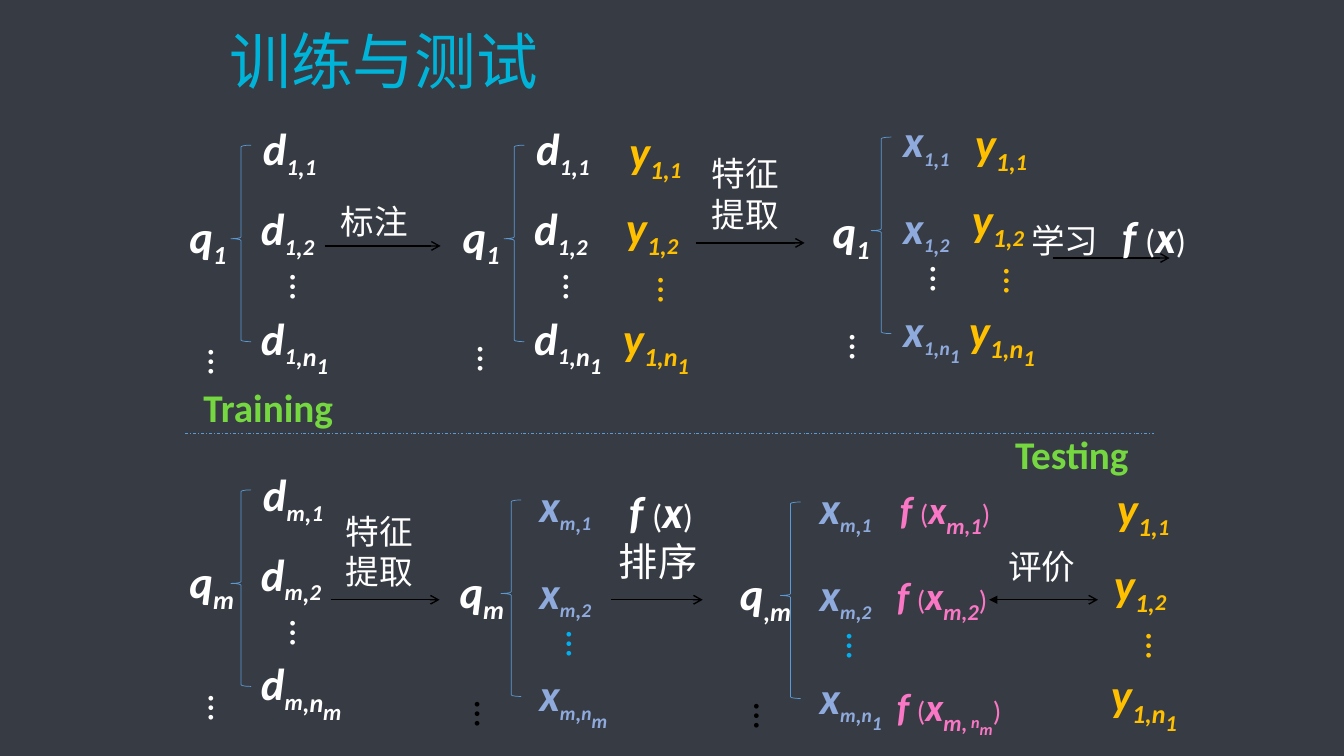
from lxml import etree
from pptx import Presentation
from pptx import util as u
from pptx.dml import color
from pptx.enum import dml, shapes, text
from pptx.oxml import ns

WHITE, BLACK, GOLD = "FFFFFF", "000000", "FFC000"
PERIWINKLE, SKY, PINK = "8FAADC", "00B0F0", "F977C4"
GREEN, BLUE, CYAN, SLATE = "75D840", "5B9BD5", "00B4D9", "373B44"

DOCUMENT_STEPS = [(0, 0), (-0.02, 0.79), (-0.02, 1.88), (0.14, 1.48)]
FEATURE_STEPS = [(0, 0), (0, 0.86), (0, 1.88), (0.14, 1.48)]
GRADE_STEPS = [(0, 0), (-0.03, 0.75), (-0.06, 1.85), (0.16, 1.47)]


def rgb(value):
    """Turn a hex string into a colour."""
    return color.RGBColor.from_string(value)


def add_child(parent, tag, **attributes):
    """Append a DrawingML element to a parent element."""
    return etree.SubElement(parent, ns.qn(tag), **attributes)


def span(words, size, base=0, strong=True):
    """Describe one run: words, point size, baseline percent and bold italic."""
    return words, size, base, strong


def add_box(page, left, top, width, height, lines, hue):
    """Add a text box whose lines are lists of spans."""
    box = page.shapes.add_textbox(*map(u.Inches, (left, top, width, height)))
    frame = box.text_frame
    frame.word_wrap = True
    frame.auto_size = text.MSO_AUTO_SIZE.SHAPE_TO_FIT_TEXT
    for index, spans in enumerate(lines):
        para = frame.add_paragraph() if index else frame.paragraphs[0]
        for words, size, base, strong in spans:
            run = para.add_run()
            run.text = words
            run.font.name = "Calibri"
            run.font.size = u.Pt(size)
            run.font.bold = run.font.italic = strong
            run.font.color.rgb = rgb(hue)
            if base:
                run.font._element.set("baseline", str(base * 1000))
    return box


def add_caption(page, left, top, width, height, *lines):
    """Add a plain white step caption."""
    spans = [[span(words, 24, strong=False)] for words in lines]
    return add_box(page, left, top, width, height, spans, WHITE)


def add_heading(page, left, top, words):
    """Add a green bold phase name."""
    box = add_box(page, left, top, 1.84, 0.57, [[span(words, 28)]], GREEN)
    box.text_frame.paragraphs[0].runs[0].font.italic = False


def add_dots(page, left, top, hue):
    """Add a vertical ellipsis."""
    box = add_box(page, left, top, 0.67, 0.57, [[span("…", 28)]], hue)
    box.text_frame.paragraphs[0].runs[0].font.bold = False
    box.text_frame._txBody.bodyPr.set("vert", "eaVert")


def add_line(page, start, end, hue, width, head=None, tail=None):
    """Add a straight line with optional arrowheads."""
    line = page.shapes.add_connector(
        shapes.MSO_CONNECTOR.STRAIGHT, *map(u.Inches, start + end))
    line.line.color.rgb = rgb(hue)
    line.line.width = u.Pt(width)
    outline = line.line._get_or_add_ln()
    for tag, kind in (("a:headEnd", head), ("a:tailEnd", tail)):
        if kind:
            add_child(outline, tag, type=kind)
    add_child(line._element.spPr, "a:effectLst")
    return line


def add_arrow(page, left, right, top, head=None):
    """Add a black horizontal arrow."""
    add_line(page, (left, top), (right, top), BLACK, 1, head, "arrow")


def add_query(page, brace, query, dots, subscript, dots_hue):
    """Add a query name, its brace and the ellipsis below."""
    shape = page.shapes.add_shape(
        shapes.MSO_SHAPE.LEFT_BRACE, *map(u.Inches, brace + (0.2, 1.95)))
    shape.shadow.inherit = False
    shape.fill.background()
    shape.line.color.rgb = rgb(BLUE)
    shape.line.width = u.Pt(0.5)
    shape.adjustments[0], shape.adjustments[1] = 0.083, 0.476
    spans = [span("q", 32), span(subscript, 32, -25)]
    add_box(page, *query, 0.8, 0.64, [spans], WHITE)
    add_dots(page, *dots, dots_hue)


def add_column(page, left, top, steps, rows, hue, dots_hue):
    """Add three subscripted symbols and an ellipsis before the last."""
    places = [(left + across, top + down) for across, down in steps]
    for place, spans in zip(places, rows):
        add_box(page, *place, 1.32, 0.64, [spans], hue)
    add_dots(page, *places[-1], dots_hue)


def indexed(letter, subscript, last, small, comma):
    """Build the first, second and last symbol of a document or feature list."""
    stem = [span(letter, 32), span(subscript, small, -25)]
    rows = [stem + [span(",", comma, -25), span(digit, small, -25)] for digit in "12"]
    return rows + [stem + [span(",", comma, -25),
                           span("n", comma if letter == "d" else small, -25),
                           span(last, small, -50)]]


def add_documents(page, left, top, subscript, last):
    """Add a column of documents d."""
    rows = indexed("d", subscript, last, 28, 32)
    add_column(page, left, top, DOCUMENT_STEPS, rows, WHITE, WHITE)


def add_features(page, left, top, subscript, last, dots_hue):
    """Add a column of feature vectors x."""
    rows = indexed("x", subscript, last, 24, 28)
    add_column(page, left, top, FEATURE_STEPS, rows, PERIWINKLE, dots_hue)


def add_grades(page, left, top):
    """Add a column of labels y."""
    rows = [[span("y", 32), span("1,", 32, -25), span(digit, 28, -25)] for digit in "12"]
    rows.append([span("y", 32), span("1,n", 32, -25), span("1", 28, -50)])
    add_column(page, left, top, GRADE_STEPS, rows, GOLD, GOLD)


def function_of(size, gap, bracket, subscript=(), close=None, lead=""):
    """Build the spans of f (x) with an optional subscript."""
    return [span(lead + "f", size), span(" ", gap), span("(", bracket, strong=False),
            span("x", size), *subscript, span(")", close or bracket, strong=False)]


def add_scores(page):
    """Add the predicted scores of the test documents."""
    subscripts = [[span("m,1", 28, -25)], [span("m,2", 28, -25)],
                  [span("m,", 28, -25), span(" n", 20, -25), span("m", 20, -50)]]
    places = [(8.74, 4.77), (8.71, 5.62), (8.71, 6.72)]
    for place, subscript in zip(places, subscripts):
        spans = function_of(28, 24, 20, subscript, lead=" ")
        add_box(page, *place, 1.33, 0.57, [spans], PINK)


def add_title(page):
    """Add the slide title."""
    box = add_box(page, 2.18, 0.13, 9, 1.02, [[span("训练与测试", 44, strong=False)]], CYAN)
    box.text_frame.auto_size = text.MSO_AUTO_SIZE.NONE
    box.text_frame.vertical_anchor = text.MSO_ANCHOR.MIDDLE
    box.text_frame.paragraphs[0].line_spacing = 0.9


def add_training(page):
    """Add the training flow above the divider."""
    add_query(page, (2.29, 1.44), (1.78, 2.02), (1.84, 3.37), "1", WHITE)
    add_documents(page, 2.51, 1.15, "1", "1")
    add_arrow(page, 3.22, 4.37, 2.44)
    add_caption(page, 3.28, 1.94, 2.05, 0.5, "标注")
    add_query(page, (5, 1.44), (4.49, 2.02), (4.51, 3.34), "1", WHITE)
    add_documents(page, 5.22, 1.15, "1", "1")
    add_grades(page, 6.14, 1.18)
    add_arrow(page, 6.9, 7.98, 2.41)
    add_caption(page, 6.96, 1.47, 1.36, 0.91, "特征", "提取")
    add_query(page, (8.64, 1.36), (8.16, 1.97), (8.2, 3.22), "1", WHITE)
    add_features(page, 8.86, 1.07, "1", "1", WHITE)
    add_grades(page, 9.57, 1.1)
    add_arrow(page, 10.44, 11.6, 2.56)
    learning = [span("学习\t", 24, strong=False)] + function_of(32, 28, 24)
    box = add_box(page, 10.13, 2.02, 2.05, 0.64, [learning], WHITE)
    tabs = add_child(box.text_frame.paragraphs[0]._p.get_or_add_pPr(), "a:tabLst")
    add_child(tabs, "a:tab", pos=str(u.Inches(0.9)), algn="l")


def add_testing(page):
    """Add the testing flow below the divider."""
    add_query(page, (2.29, 4.86), (1.78, 5.44), (1.84, 6.8), "m", WHITE)
    add_documents(page, 2.51, 4.58, "m", "m")
    add_arrow(page, 3.28, 4.36, 5.95)
    add_caption(page, 3.33, 5.02, 1.36, 0.91, "特征", "提取")
    add_query(page, (4.97, 4.96), (4.46, 5.54), (4.48, 6.86), "m", BLACK)
    add_features(page, 5.25, 4.69, "m", "m", SKY)
    add_arrow(page, 6.06, 6.97, 5.95)
    ranking = [function_of(32, 28, 24, lead=" "), [span("排序", 28, strong=False)]]
    add_box(page, 6.04, 4.75, 1.4, 1.11, ranking, WHITE)
    add_query(page, (7.74, 4.98), (7.24, 5.56), (7.25, 6.88), ",m", BLACK)
    add_features(page, 8.03, 4.71, "m", "1", SKY)
    add_scores(page)
    add_arrow(page, 9.81, 10.89, 5.95, head="triangle")
    add_caption(page, 9.9, 5.37, 1.36, 0.5, "评价")
    add_grades(page, 10.98, 4.72)


def main():
    """Build and save the slide."""
    deck = Presentation()
    deck.slide_width, deck.slide_height = u.Inches(13.33), u.Inches(7.5)
    page = deck.slides.add_slide(deck.slide_layouts[6])
    page.background.fill.solid()
    page.background.fill.fore_color.rgb = rgb(SLATE)
    add_title(page)
    add_training(page)
    add_testing(page)
    divider = add_line(page, (1.84, 4.3), (11.45, 4.3), BLUE, 0.5)
    divider.line.dash_style = dml.MSO_LINE.DASH_DOT
    add_heading(page, 1.92, 3.75, "Training")
    add_heading(page, 9.97, 4.22, "Testing")
    deck.save("out.pptx")


if __name__ == "__main__":
    main()
